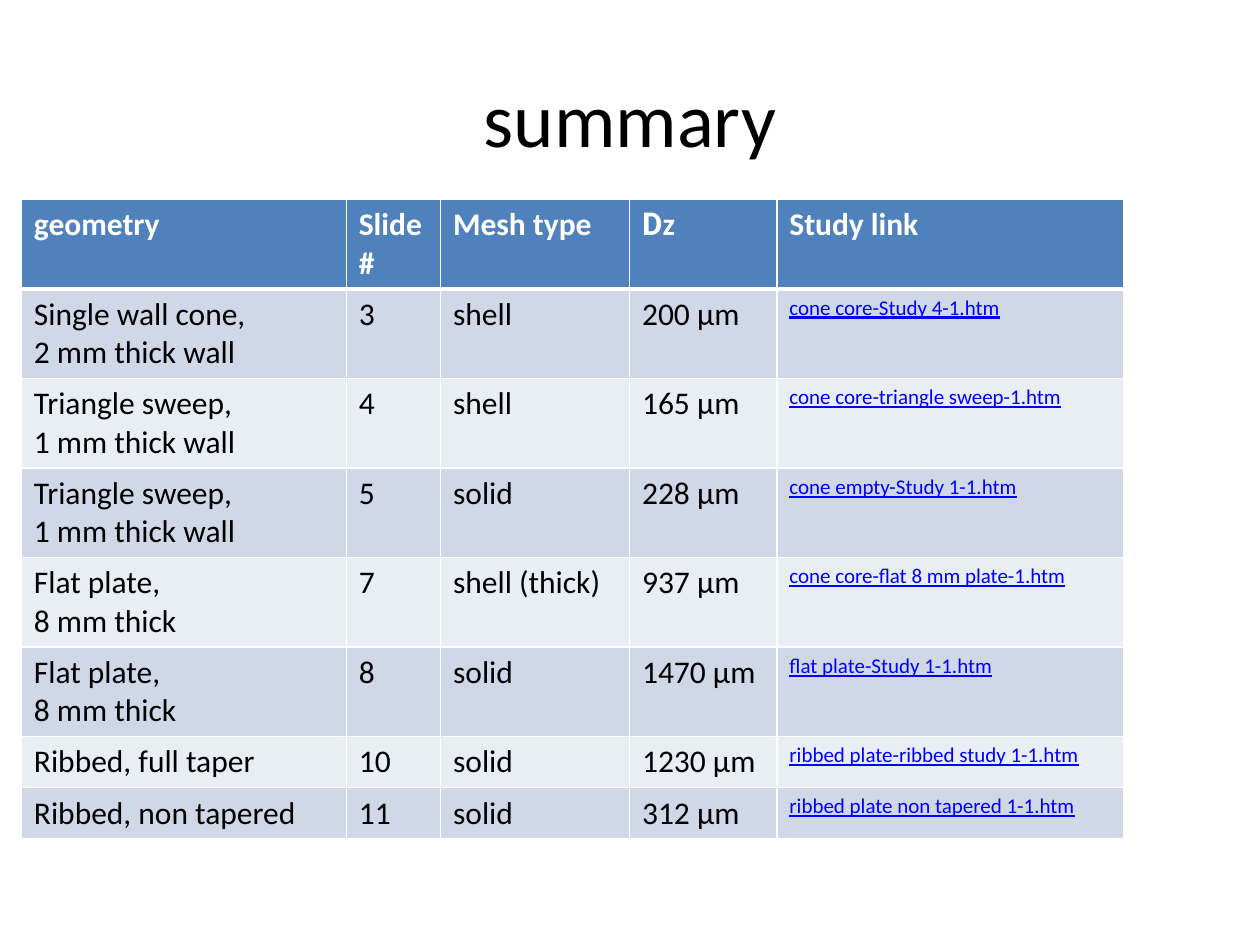
from lxml.etree import SubElement as add_element
from pptx import Presentation
from pptx.dml.color import RGBColor
from pptx.enum.text import MSO_ANCHOR as Anchor, PP_ALIGN as Align
from pptx.oxml.ns import qn
from pptx.util import Cm, Pt

HEADERS = [
    [["geometry"]],
    [["Slide"], ["#"]],
    [["Mesh type"]],
    [["D", "z"]],
    [["Study link"]],
]
STUDIES = [
    (["Single wall cone,", "2 mm thick wall"], "3", "shell", "200 μm", "cone core-Study 4-1.htm"),
    (["Triangle sweep,", "1 mm thick wall"], "4", "shell", "165 μm", "cone core-triangle sweep-1.htm"),
    (["Triangle sweep,", "1 mm thick wall"], "5", "solid", "228 μm", "cone empty-Study 1-1.htm"),
    (["Flat plate,", "8 mm thick"], "7", "shell (thick)", "937 μm", "cone core-flat 8 mm plate-1.htm"),
    (["Flat plate,", "8 mm thick"], "8", "solid", "1470 μm", "flat plate-Study 1-1.htm"),
    (["Ribbed, full taper"], "10", "solid", "1230 μm", "ribbed plate-ribbed study 1-1.htm"),
    (["Ribbed, non tapered"], "11", "solid", "312 μm", "ribbed plate non tapered 1-1.htm"),
]
COLUMN_WIDTHS = [6.55, 1.9, 3.81, 2.97, 6.99]
ROW_HEIGHT = 1.03


def color(code):
    return RGBColor.from_string(code)


class SummarySlide:
    """Holds the style and the slide on which titles and tables are placed."""

    font = "Calibri"
    symbol_font = "Roboto"
    black, white, link = "000000", "FFFFFF", "0000FF"
    header_fill = "4F81BD"
    bands = ["D0D8E8", "E9EDF4"]

    def __init__(self, deck):
        self.page = deck.slides.add_slide(deck.slide_layouts[5])

    def add_span(self, para, text, size, code, bold=False, underline=False, font=None):
        span = para.add_run()
        span.text = text
        span.font.name = font or self.font
        span.font.size = Pt(size)
        span.font.bold = bold
        span.font.underline = underline
        span.font.color.rgb = color(code)

    def add_title(self, text, left, top, width, height):
        box = self.page.shapes.title
        box.left, box.top, box.width, box.height = Cm(left), Cm(top), Cm(width), Cm(height)
        box.text_frame.vertical_anchor = Anchor.MIDDLE
        para = box.text_frame.paragraphs[0]
        para.alignment = Align.CENTER
        self.add_span(para, text, 44, self.black)

    def add_border(self, cell, side, width):
        line = add_element(cell._tc.get_or_add_tcPr(), qn(f"a:ln{side}"), w=str(Pt(width)))
        fill = add_element(line, qn("a:solidFill"))
        add_element(fill, qn("a:srgbClr"), val=self.white)

    def format_cell(self, cell, fill, top=1, bottom=1):
        for side, width in zip("LRTB", (1, 1, top, bottom)):
            self.add_border(cell, side, width)
        cell.fill.solid()
        cell.fill.fore_color.rgb = color(fill)

    def fill_cell(self, cell, paragraphs, size=18, code=black, **style):
        frame = cell.text_frame
        for index, spans in enumerate(paragraphs):
            para = frame.add_paragraph() if index else frame.paragraphs[0]
            for text in spans:
                font = self.symbol_font if text == "D" else self.font
                self.add_span(para, text, size, code, font=font, **style)

    def add_study_table(self, left, top):
        rows = len(STUDIES) + 1
        table = self.page.shapes.add_table(
            rows, len(COLUMN_WIDTHS), Cm(left), Cm(top),
            Cm(sum(COLUMN_WIDTHS)), Cm(rows * ROW_HEIGHT),
        ).table
        for column, width in zip(table.columns, COLUMN_WIDTHS):
            column.width = Cm(width)
        for row in table.rows:
            row.height = Cm(ROW_HEIGHT)
        for column, paragraphs in enumerate(HEADERS):
            cell = table.cell(0, column)
            self.format_cell(cell, self.header_fill, bottom=3)
            self.fill_cell(cell, paragraphs, code=self.white, bold=True)
        for row, (geometry, *values, study) in enumerate(STUDIES, start=1):
            for cell in table.rows[row].cells:
                self.format_cell(cell, self.bands[(row - 1) % 2], top=3 if row == 1 else 1)
            self.fill_cell(table.cell(row, 0), [[line] for line in geometry])
            for column, value in enumerate(values, start=1):
                self.fill_cell(table.cell(row, column), [[value]])
            self.fill_cell(table.cell(row, 4), [[study]], 12, self.link, underline=True)


def main():
    deck = Presentation()
    deck.slide_width, deck.slide_height = Cm(25.4), Cm(19.05)
    summary = SummarySlide(deck)
    summary.add_title("summary", 1.27, 0.76, 22.86, 3.18)
    summary.add_study_table(0.43, 4.02)
    deck.save("out.pptx")


if __name__ == "__main__":
    main()
